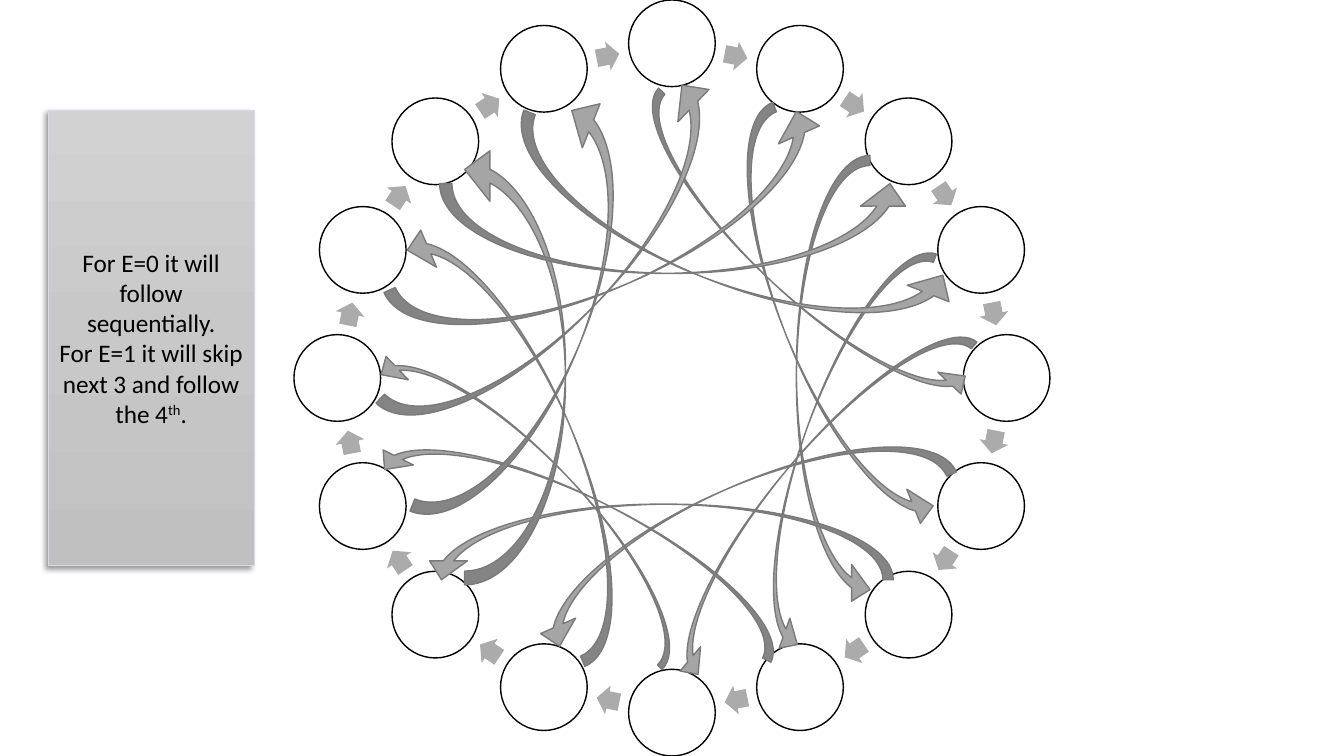
from dataclasses import dataclass
from math import cos, pi, sin

from lxml.etree import SubElement
from pptx import Presentation
from pptx.dml.color import RGBColor
from pptx.enum.shapes import MSO_SHAPE as Shape
from pptx.enum.text import MSO_ANCHOR, PP_ALIGN
from pptx.oxml.ns import qn
from pptx.shapes.autoshape import Shape as AutoShape
from pptx.util import Inches, Pt

COLORS = {
    "node": "FFFFFF", "outline": "000000", "step": "ABABAB",
    "skip": "A5A5A5", "skip_line": "7A7A7A",
    "panel_line": "D6DCE5", "text": "000000", "shadow": "000000",
    "panel_top": "D2D2D2", "panel_middle": "C8C8C8", "panel_bottom": "C0C0C0",
}

# The slide is a grid of 40 columns by 22.5 rows of square cells.
SLIDE_W, SLIDE_H = Inches(40 / 3), Inches(7.5)
COL, ROW = SLIDE_W / 40, SLIDE_H / 22.5

NODES = 16
RING_X, RING_Y, RING_RADIUS = 20, 11.25, 9.96
NODE_SIZE = 2.58
STEP_W, STEP_H = 0.69, 0.87


@dataclass
class Box:
    """Centre and size in grid cells, clockwise rotation in degrees."""
    x: float
    y: float
    w: float
    h: float
    rotation: float = 0


@dataclass
class Style:
    fill: str
    line: str | None = None
    width: float = 1


@dataclass
class Skip:
    box: Box
    thickness: float = 0.137


NODE_STYLE = Style("node", "outline")
STEP_STYLE = Style("step")
SKIP_STYLE = Style("skip", "skip_line")
PANEL_STYLE = Style("panel_middle", "panel_line", 0.5)
PANEL = Box(4.5, 10.05, 6.12, 13.56)

SKIPS = [
    Skip(Box(23.69, 7.76, 1.89, 12.99, 313.2)),
    Skip(Box(24.47, 9.71, 2.19, 13.47, 338.3)),
    Skip(Box(24.8, 11.36, 2.19, 13.47)),
    Skip(Box(24.83, 13.28, 1.89, 12.81, 19.6)),
    Skip(Box(24.05, 14.7, 1.89, 13.38, 40)),
    Skip(Box(21.84, 15.71, 2.28, 13.47, 66.3)),
    Skip(Box(19.58, 16.13, 2.25, 14.01, 90)),
    Skip(Box(17.42, 15.83, 2.01, 13.35, 116.5)),
    Skip(Box(15.75, 12.89, 2.4, 14.07, 156.9)),
    Skip(Box(16.05, 14.7, 1.92, 12.6, 136.4), 0.099),
    Skip(Box(15.33, 10.85, 3, 13.11, 180)),
    Skip(Box(16.05, 9.45, 2.82, 13.56, 202)),
    Skip(Box(16.94, 7.95, 2.67, 13.8, 223.9)),
    Skip(Box(18.41, 7.1, 2.67, 14.07, 246.3)),
    Skip(Box(20.12, 6.8, 2.67, 14.07, 270)),
    Skip(Box(21.65, 7.1, 2.67, 14.07, 291.5)),
]


def rgb(name: str) -> RGBColor:
    return RGBColor.from_string(COLORS[name])


def add_shape(s, kind: Shape, box: Box, style: Style, adjustments=()) -> AutoShape:
    sp = s.shapes.add_shape(
        kind, round((box.x - box.w / 2) * COL), round((box.y - box.h / 2) * ROW),
        round(box.w * COL), round(box.h * ROW))
    sp.rotation = box.rotation
    for i, value in enumerate(adjustments):
        sp.adjustments[i] = value
    sp.shadow.inherit = False
    sp.fill.solid()
    sp.fill.fore_color.rgb = rgb(style.fill)
    if style.line:
        sp.line.color.rgb = rgb(style.line)
        sp.line.width = Pt(style.width)
    else:
        sp.line.fill.background()
    return sp


def ring_box(turn: float, radius: float, w: float, h: float, rotation: float = 0) -> Box:
    """Box on the ring; turn counts nodes clockwise from the top."""
    angle = 2 * pi * turn / NODES
    return Box(RING_X + radius * sin(angle), RING_Y - radius * cos(angle), w, h, rotation)


def add_ring(s) -> None:
    step_radius = RING_RADIUS * cos(pi / NODES)
    for i in range(NODES):
        add_shape(s, Shape.OVAL, ring_box(i, RING_RADIUS, NODE_SIZE, NODE_SIZE), NODE_STYLE)
        turn = i + 0.5
        box = ring_box(turn, step_radius, STEP_W, STEP_H, 360 * turn / NODES)
        add_shape(s, Shape.RIGHT_ARROW, box, STEP_STYLE, (0.6, 0.5))


def add_skips(s) -> None:
    for skip in SKIPS:
        add_shape(s, Shape.CURVED_RIGHT_ARROW, skip.box, SKIP_STYLE,
                  (skip.thickness, 0.5, 0.25))


def shade_panel(sp: AutoShape) -> None:
    """Give the panel a three-stop vertical gradient and a soft shadow."""
    sp.fill.gradient()
    sp.fill.gradient_angle = 270
    spPr = sp._element.spPr
    stops = spPr.find(qn("a:gradFill")).find(qn("a:gsLst"))
    stops.clear()
    for position, name in ((0, "panel_top"), (50, "panel_middle"), (100, "panel_bottom")):
        stop = SubElement(stops, qn("a:gs"), pos=str(position * 1000))
        SubElement(stop, qn("a:srgbClr"), val=COLORS[name])
    shadow = SubElement(spPr.find(qn("a:effectLst")), qn("a:outerShdw"),
                        blurRad=str(Pt(4)), dist=str(Pt(3)), dir=str(135 * 60000),
                        algn="tr", rotWithShape="0")
    color = SubElement(shadow, qn("a:srgbClr"), val=COLORS["shadow"])
    SubElement(color, qn("a:alpha"), val="40000")


def add_panel(s) -> None:
    sp = add_shape(s, Shape.RECTANGLE, PANEL, PANEL_STYLE)
    shade_panel(sp)
    tf = sp.text_frame
    tf.word_wrap = True
    tf.vertical_anchor = MSO_ANCHOR.MIDDLE
    tf.text = ("For E=0 it will follow sequentially.\n"
               "For E=1 it will skip next 3 and follow the 4")
    p = tf.paragraphs[-1]
    for text, baseline in (("th", 30000), (".", 0)):
        r = p.add_run()
        r.text = text
        r._r.get_or_add_rPr().set("baseline", str(baseline))
    for p in tf.paragraphs:
        p.alignment = PP_ALIGN.CENTER
        p.font.name = "Calibri"
        p.font.size = Pt(18)
        p.font.color.rgb = rgb("text")


def main() -> None:
    prs = Presentation()
    prs.slide_width, prs.slide_height = SLIDE_W, SLIDE_H
    s = prs.slides.add_slide(prs.slide_layouts[6])
    add_ring(s)
    add_skips(s)
    add_panel(s)
    prs.save("out.pptx")


if __name__ == "__main__":
    main()
